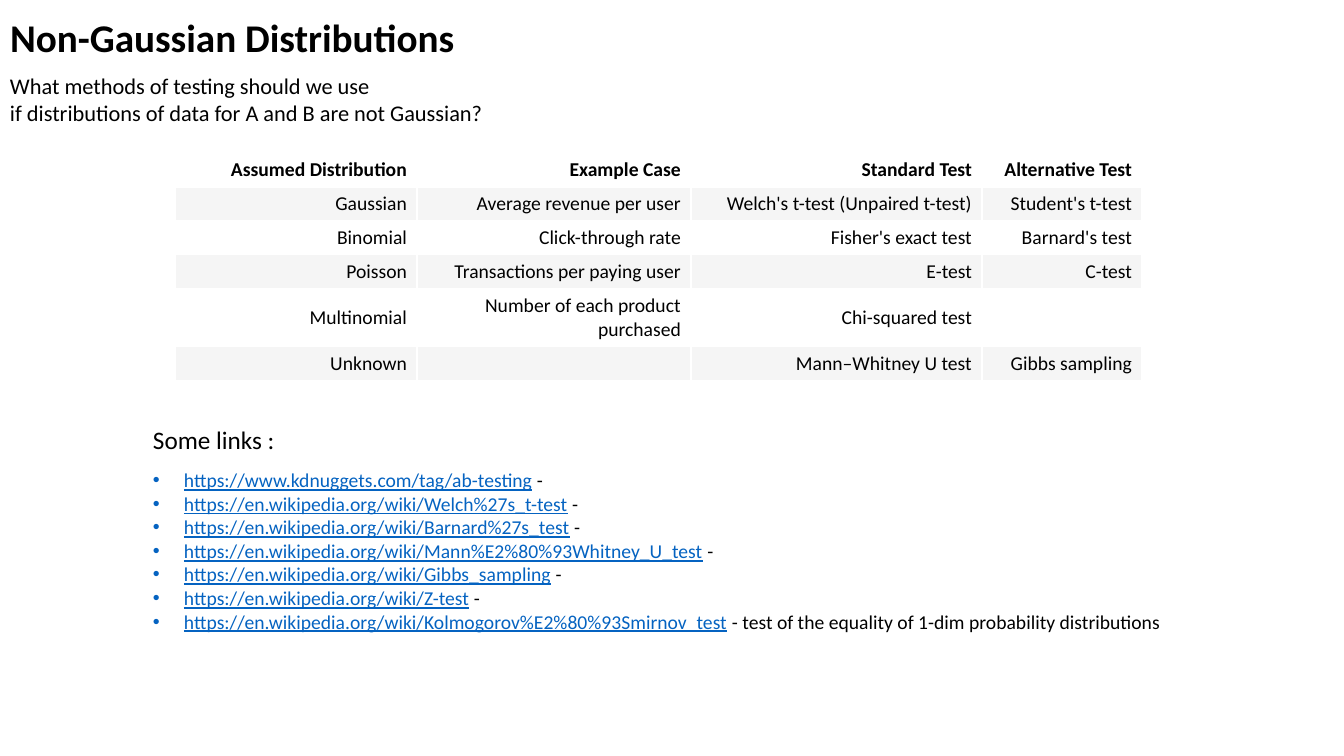
from lxml import etree
from pptx import Presentation
from pptx import util as u
from pptx.dml.color import RGBColor
from pptx.enum import text
from pptx.oxml.ns import qn

# Content
TITLE = "Non-Gaussian Distributions"
QUESTION = [
    "What methods of testing should we use",
    "if distributions of data for A and B are not Gaussian?",
]
TESTS = [
    ("Assumed Distribution", "Example Case", "Standard Test", "Alternative Test"),
    ("Gaussian", "Average revenue per user", "Welch's t-test (Unpaired t-test)", "Student's t-test"),
    ("Binomial", "Click-through rate", "Fisher's exact test", "Barnard's test"),
    ("Poisson", "Transactions per paying user", "E-test", "C-test"),
    ("Multinomial", "Number of each product purchased", "Chi-squared test", ""),
    ("Unknown", "", "Mann–Whitney U test", "Gibbs sampling"),
]
LINKS_HEADING = "Some links :"
LINKS = [
    ("https://www.kdnuggets.com/tag/ab-testing", " -"),
    ("https://en.wikipedia.org/wiki/Welch%27s_t-test", " -"),
    ("https://en.wikipedia.org/wiki/Barnard%27s_test", " -"),
    ("https://en.wikipedia.org/wiki/Mann%E2%80%93Whitney_U_test", " -"),
    ("https://en.wikipedia.org/wiki/Gibbs_sampling", " -"),
    ("https://en.wikipedia.org/wiki/Z-test", " -"),
    ("https://en.wikipedia.org/wiki/Kolmogorov%E2%80%93Smirnov_test",
     " - test of the equality of 1-dim probability distributions"),
]

# Look
FONT = "Calibri"
BLACK = RGBColor(0x00, 0x00, 0x00)
WHITE = RGBColor(0xFF, 0xFF, 0xFF)
BAND = RGBColor(0xF5, 0xF5, 0xF5)
LINK_BLUE = RGBColor(0x05, 0x63, 0xC1)

# Layout in px
SLIDE_SIZE = 1344, 756
TITLE_BOX = 0, 8, 521, 57
QUESTION_BOX = 0, 67, 521, 64
LINKS_BOX = 143, 419, 1059, 221
TABLE_LEFT, TABLE_TOP = 175, 153
COLUMN_WIDTHS = 242, 274, 291, 160
ROW_HEIGHTS = 34, 34, 34, 34, 58, 34
INSET_X, INSET_Y = 10, 5
INDENT = 31


def px(length):
    return u.Emu(round(length * 914400 / 100.8))


def place(shape, area):
    shape.left, shape.top, shape.width, shape.height = map(px, area)
    frame = shape.text_frame
    frame.word_wrap = True
    frame.auto_size = text.MSO_AUTO_SIZE.NONE
    frame.vertical_anchor = text.MSO_ANCHOR.TOP
    frame.margin_left = frame.margin_right = px(INSET_X)
    frame.margin_top = frame.margin_bottom = px(INSET_Y)
    return frame


def style(para, size, bold=False, align=text.PP_ALIGN.LEFT):
    para.alignment = align
    para.space_before = u.Pt(0)
    para.font.name = FONT
    para.font.size = u.Pt(size)
    para.font.bold = bold
    para.font.color.rgb = BLACK


def set_bullet(para, indent, char=None):
    props = para._p.get_or_add_pPr()
    props.set("marL", str(px(indent)))
    props.set("indent", str(-px(indent)))
    if char is None:
        etree.SubElement(props, qn("a:buNone"))
        return
    color = etree.SubElement(props, qn("a:buClr"))
    etree.SubElement(color, qn("a:srgbClr"), val=str(LINK_BLUE))
    etree.SubElement(props, qn("a:buFont"), typeface="Arial")
    etree.SubElement(props, qn("a:buChar"), char=char)


def add_title(page):
    frame = place(page.shapes.title, TITLE_BOX)
    frame.text = TITLE
    style(frame.paragraphs[0], 28, bold=True)


def add_question(page):
    frame = place(page.shapes.add_textbox(0, 0, 0, 0), QUESTION_BOX)
    frame.text = "\n".join(QUESTION)
    for para in frame.paragraphs:
        style(para, 16)


def add_tests(page):
    area = TABLE_LEFT, TABLE_TOP, sum(COLUMN_WIDTHS), sum(ROW_HEIGHTS)
    table = page.shapes.add_table(len(TESTS), len(COLUMN_WIDTHS), *map(px, area)).table
    for column, width in zip(table.columns, COLUMN_WIDTHS):
        column.width = px(width)
    for index, (row, height) in enumerate(zip(table.rows, ROW_HEIGHTS)):
        row.height = px(height)
        for cell, words in zip(row.cells, TESTS[index]):
            cell.text = words
            cell.vertical_anchor = text.MSO_ANCHOR.MIDDLE
            cell.margin_left = cell.margin_right = px(INSET_X)
            cell.margin_top = cell.margin_bottom = px(INSET_Y)
            cell.fill.solid()
            cell.fill.fore_color.rgb = BAND if index % 2 else WHITE
            style(cell.text_frame.paragraphs[0], 14, index == 0, text.PP_ALIGN.RIGHT)


def add_links(page):
    frame = place(page.placeholders[1], LINKS_BOX)
    heading = frame.paragraphs[0]
    heading.text = LINKS_HEADING
    set_bullet(heading, 0)
    style(heading, 18)
    for index, (address, remark) in enumerate(LINKS):
        para = frame.add_paragraph()
        set_bullet(para, INDENT, "•")
        style(para, 14)
        if index == 0:
            para.space_before = u.Pt(10)
        span = para.add_run()
        span.text = address
        span.font.color.rgb = LINK_BLUE
        span.font.underline = True
        para.add_run().text = remark


def main():
    deck = Presentation()
    deck.slide_width, deck.slide_height = map(px, SLIDE_SIZE)
    page = deck.slides.add_slide(deck.slide_layouts[1])
    add_title(page)
    add_question(page)
    add_tests(page)
    add_links(page)
    deck.save("out.pptx")


if __name__ == "__main__":
    main()
